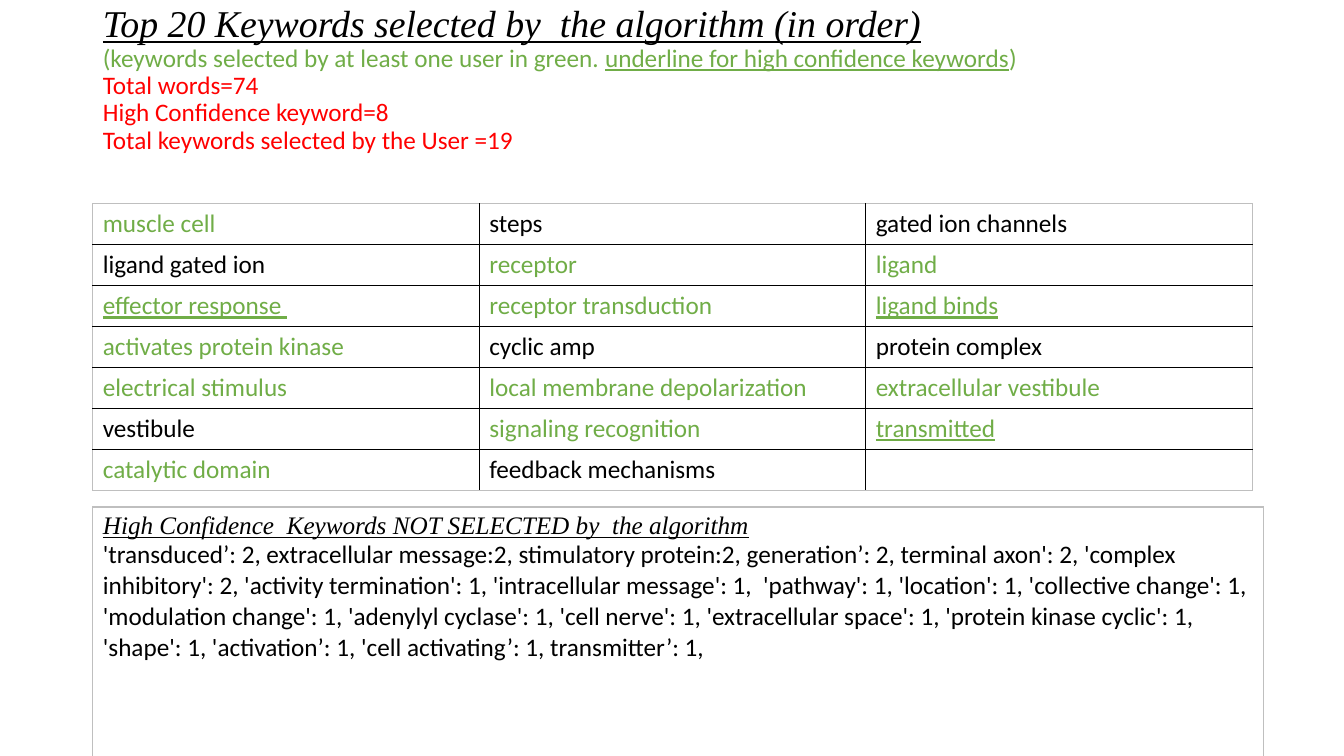
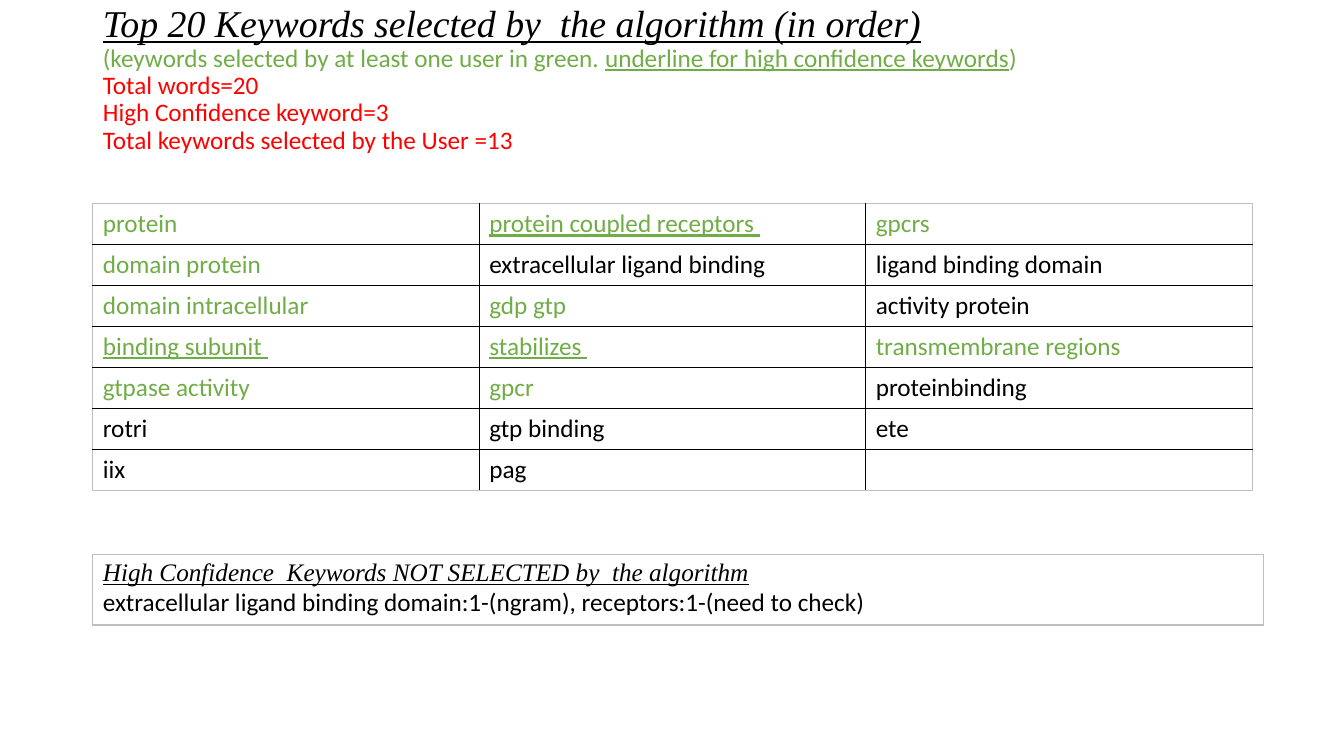
import pptx
import pptx.dml.color
import pptx.enum.text
import pptx.oxml
import pptx.oxml.ns
import pptx.util
from pptx.util import Inches

BLACK, GREEN, RED, GREY = "000000", "70AD47", "FF0000", "BFBFBF"
BODY_FONT, HEADING_FONT = "Calibri", "Times New Roman"
LEFT, GRID_WIDTH, NOTE_WIDTH = 0.92, 11.5, 11.61
GRID_TOP, GRID_ROW = 2.02, 0.4064
STYLES = {"plain": (BLACK, False), "chosen": (GREEN, False), "sure": (GREEN, True)}

PLAIN, CHOSEN, SURE = STYLES

SLIDES = [
    {
        "totals": (74, 8, 19),
        "keywords": [
            [("muscle cell", CHOSEN), ("steps", PLAIN), ("gated ion channels", PLAIN)],
            [("ligand gated ion", PLAIN), ("receptor", CHOSEN), ("ligand", CHOSEN)],
            [("effector response ", SURE), ("receptor transduction", CHOSEN), ("ligand binds", SURE)],
            [("activates protein kinase", CHOSEN), ("cyclic amp", PLAIN), ("protein complex", PLAIN)],
            [("electrical stimulus", CHOSEN), ("local membrane depolarization", CHOSEN),
             ("extracellular vestibule", CHOSEN)],
            [("vestibule", PLAIN), ("signaling recognition", CHOSEN), ("transmitted", SURE)],
            [("catalytic domain", CHOSEN), ("feedback mechanisms", PLAIN), ("", PLAIN)],
        ],
        "missed": "'transduced’: 2, extracellular message:2, stimulatory protein:2, generation’: 2, "
                  "terminal axon': 2, 'complex inhibitory': 2, 'activity termination': 1, "
                  "'intracellular message': 1,  'pathway': 1, 'location': 1, 'collective change': 1, "
                  "'modulation change': 1, 'adenylyl cyclase': 1, 'cell nerve': 1, "
                  "'extracellular space': 1, 'protein kinase cyclic': 1, 'shape': 1, "
                  "'activation’: 1, 'cell activating’: 1, transmitter’: 1,",
        "missed_top": 5.03,
        "missed_height": 2.5,
    },
    {
        "totals": (20, 3, 13),
        "keywords": [
            [("protein", CHOSEN), ("protein coupled receptors ", SURE), ("gpcrs", CHOSEN)],
            [("domain protein", CHOSEN), ("extracellular ligand binding", PLAIN),
             ("ligand binding domain", PLAIN)],
            [("domain intracellular", CHOSEN), ("gdp gtp", CHOSEN), ("activity protein", PLAIN)],
            [("binding subunit ", SURE), ("stabilizes ", SURE), ("transmembrane regions", CHOSEN)],
            [("gtpase activity", CHOSEN), ("gpcr", CHOSEN), ("proteinbinding", PLAIN)],
            [("rotri", PLAIN), ("gtp binding", PLAIN), ("ete", PLAIN)],
            [("iix", PLAIN), ("pag", PLAIN), ("", PLAIN)],
        ],
        "missed": "extracellular ligand binding domain:1-(ngram), receptors:1-(need to check)",
        "missed_top": 5.5,
        "missed_height": 0.7,
    },
]


def colour(value):
    return pptx.dml.color.RGBColor.from_string(value)


def add_span(para, text, tint=BLACK, underline=False, size=18, heading=False):
    span = para.add_run()
    span.text = text
    span.font.name = HEADING_FONT if heading else BODY_FONT
    span.font.size = pptx.util.Pt(size)
    span.font.color.rgb = colour(tint)
    span.font.italic = heading
    span.font.underline = underline or heading


def add_title(slide, totals):
    title = slide.shapes.title
    title.left, title.top = Inches(LEFT), Inches(0.4)
    title.width, title.height = Inches(GRID_WIDTH), Inches(1.45)
    frame = title.text_frame
    frame.word_wrap = True
    frame.auto_size = pptx.enum.text.MSO_AUTO_SIZE.NONE
    frame.vertical_anchor = pptx.enum.text.MSO_ANCHOR.MIDDLE
    frame.margin_bottom = Inches(0.72)
    para = frame.paragraphs[0]
    para.alignment = pptx.enum.text.PP_ALIGN.LEFT
    para.line_spacing = 0.9
    add_span(para, "Top 20 Keywords selected by  the algorithm (in order)", size=27, heading=True)
    para.add_line_break()
    add_span(para, "(keywords selected by at least one user in green. ", GREEN)
    add_span(para, "underline for high confidence keywords", GREEN, True)
    add_span(para, ")", GREEN)
    labels = ("Total words=", "High Confidence keyword=", "Total keywords selected by the User =")
    for label, total in zip(labels, totals):
        para.add_line_break()
        add_span(para, f"{label}{total}", RED)


def set_border(cell, side, tint):
    namespace = pptx.oxml.ns.nsdecls("a")
    line = pptx.oxml.parse_xml(
        f'<a:{side} {namespace} w="12700"><a:solidFill><a:srgbClr val="{tint}"/>'
        f'</a:solidFill></a:{side}>')
    cell._tc.get_or_add_tcPr().append(line)


def add_grid(slide, rows, columns, top, width, height):
    frame = slide.shapes.add_table(
        rows, columns, Inches(LEFT), Inches(top), Inches(width), Inches(height))
    table = frame.table
    table.first_row = table.horz_banding = False
    for row in range(rows):
        for column in range(columns):
            cell = table.cell(row, column)
            outer = {"lnL": column == 0, "lnR": column == columns - 1,
                     "lnT": row == 0, "lnB": row == rows - 1}
            for side, on_edge in outer.items():
                set_border(cell, side, GREY if on_edge else BLACK)
            cell.fill.background()
    return table


def add_keywords(slide, keywords):
    rows = len(keywords)
    table = add_grid(slide, rows, len(keywords[0]), GRID_TOP, GRID_WIDTH, rows * GRID_ROW)
    for row, entries in enumerate(keywords):
        for column, (word, style) in enumerate(entries):
            if word:
                add_span(table.cell(row, column).text_frame.paragraphs[0], word, *STYLES[style])


def add_missed(slide, text, top, height):
    frame = add_grid(slide, 1, 1, top, NOTE_WIDTH, height).cell(0, 0).text_frame
    add_span(frame.paragraphs[0], "High Confidence  Keywords NOT SELECTED by  the algorithm",
             heading=True)
    add_span(frame.add_paragraph(), text)


def main():
    deck = pptx.Presentation()
    deck.slide_width, deck.slide_height = Inches(13.33), Inches(7.5)
    for page in SLIDES:
        slide = deck.slides.add_slide(deck.slide_layouts[5])
        add_title(slide, page["totals"])
        add_keywords(slide, page["keywords"])
        add_missed(slide, page["missed"], page["missed_top"], page["missed_height"])
    deck.save("out.pptx")


main()
